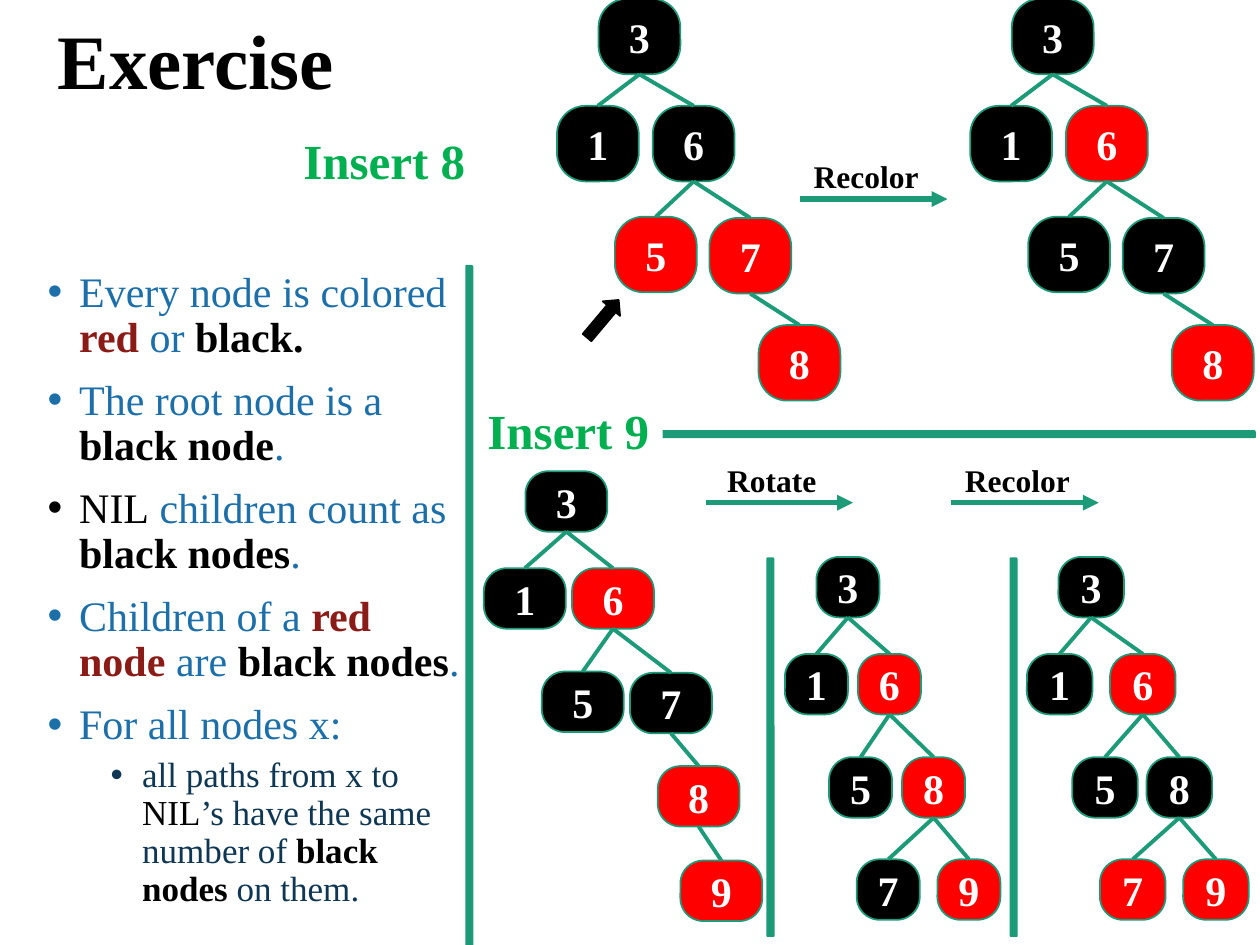
import pptx
import pptx.util
from pptx.dml.color import RGBColor
from pptx.enum.shapes import MSO_CONNECTOR, MSO_SHAPE
from pptx.enum.text import MSO_ANCHOR, PP_ALIGN
from pptx.oxml.ns import qn
from lxml import etree

COLORS = {"black": "000000", "red": "FF0000", "white": "FFFFFF", "teal": "1D9A78",
          "green": "00B050", "blue": "1D6FA9", "navy": "0F3754", "maroon": "8B1B17"}
FONT = "Times New Roman"

# Slide grid: 100 columns by 75 rows
COLUMNS, ROWS = 100, 75
WIDTH, HEIGHT = pptx.util.Inches(10), pptx.util.Inches(7.5)

# Rules: level, then (text, color, bold) spans
RULES = [
    (0, [("Every node is colored ", "blue", False), ("red", "maroon", True),
         (" or ", "blue", False), ("black.", "black", True)]),
    (0, [("The root node is a ", "blue", False), ("black node", "black", True),
         (".", "blue", False)]),
    (0, [("NIL", "black", False), (" children count as ", "blue", False),
         ("black nodes", "black", True), (".", "blue", False)]),
    (0, [("Children of a ", "blue", False), ("red node ", "maroon", True),
         ("are ", "blue", False), ("black nodes", "black", True), (".", "blue", False)]),
    (0, [("For all nodes x:", "blue", False)]),
    (1, [("all paths from x to ", "navy", False), ("NIL", "black", False),
         ("’s have the same number of ", "navy", False),
         ("black nodes ", "black", True), ("on them.", "navy", False)]),
]
LEVELS = [(24, 0.25, 10), (20, 0.75, 5)]  # size, indent in inches, space before

# Headings: text, box, size, color
HEADINGS = [
    ("Exercise", (3.6, 1.2, 24.5, 7.8), 44, "black"),
    ("Insert 8", (23.1, 10.8, 16, 4.3), 28, "green"),
]
INSERT_9 = ("Insert 9", (37.7, 31.6, 14.9, 5.6), 28, "green")

# Divider bars: left, top, width, height
DIVIDERS = [(37, 21.1, 0.5, 53.9), (60.9, 44.3, 0.5, 30),
            (80.2, 44.3, 0.5, 30), (39.9, 34.2, 59.7, 0.5)]

# Step arrows: label, left, top of label
STEPS = [("Recolor", 63.4, 12), ("Rotate", 55.9, 36.1), ("Recolor", 75.4, 36.1)]

# Tree forms: key -> (parent, column offset, row offset)
INSERT_8_FORM = {3: (None, 3.3, 0), 1: (3, 0, 8.5), 6: (3, 7.6, 8.5),
                 5: (6, 4.6, 17.3), 7: (6, 12.1, 17.4), 8: (7, 16, 25.9)}
INSERT_9_FORM = {3: (None, 3.3, 0), 1: (3, 0, 7.7), 6: (3, 7, 7.7), 5: (6, 4.6, 15.9),
                 7: (6, 11.6, 16), 8: (7, 13.8, 23.4), 9: (8, 15.6, 30.9)}
ROTATED_FORM = {3: (None, 2.5, 0), 1: (3, 0, 7.7), 6: (3, 5.8, 7.7), 5: (6, 3.5, 15.9),
                8: (6, 9.3, 15.9), 7: (8, 5.7, 24), 9: (8, 12.1, 24)}
RECOLORED_FORM = {3: (None, 2.5, 0), 1: (3, 0, 7.7), 6: (3, 6.6, 7.7), 5: (6, 3.6, 15.9),
                  8: (6, 9.5, 15.9), 7: (8, 5.8, 24), 9: (8, 12.4, 24)}

# Trees: form, left, top, node width, node height, red keys
TREES = [
    (INSERT_8_FORM, 44.2, -0.1, 6.5, 6, {5, 7, 8}),
    (INSERT_8_FORM, 77, -0.1, 6.5, 6, {6, 8}),
    (INSERT_9_FORM, 38.4, 37.4, 6.5, 4.8, {6, 8, 9}),
    (ROTATED_FORM, 62.3, 44.2, 5, 4.8, {6, 8, 9}),
    (RECOLORED_FORM, 81.5, 44.2, 5.2, 4.8, {6, 7, 9}),
]


def place(left, top, width, height):
    return (round(WIDTH * left / COLUMNS), round(HEIGHT * top / ROWS),
            round(WIDTH * width / COLUMNS), round(HEIGHT * height / ROWS))


def rgb(name):
    return RGBColor.from_string(COLORS[name])


def style_font(font, size, color, bold=True):
    font.name, font.size, font.bold = FONT, pptx.util.Pt(size), bold
    font.color.rgb = rgb(color)


def add_shape(shapes, kind, area, fill, line="teal"):
    shape = shapes.add_shape(kind, *place(*area))
    shape.shadow.inherit = False
    shape.fill.solid()
    shape.fill.fore_color.rgb = rgb(fill)
    if line:
        shape.line.color.rgb = rgb(line)
        shape.line.width = pptx.util.Pt(1)
    else:
        shape.line.fill.background()
    return shape


def write(shape, text, size, color, align=PP_ALIGN.LEFT, spacing=None):
    frame = shape.text_frame
    frame.word_wrap = True
    frame.text = text
    para = frame.paragraphs[0]
    para.alignment, para.line_spacing = align, spacing
    style_font(para.runs[0].font, size, color)
    return frame


def add_line(shapes, start, end, width):
    line = shapes.add_connector(MSO_CONNECTOR.STRAIGHT, *start, *end)
    line.line.color.rgb = rgb("teal")
    line.line.width = pptx.util.Pt(width)
    etree.SubElement(line._element.spPr, qn("a:effectLst"))
    return line


def add_heading(box, text, size, color):
    frame = write(box, text, size, color, spacing=0.9)
    frame.vertical_anchor = MSO_ANCHOR.MIDDLE


def add_rules(shapes):
    frame = shapes.add_textbox(*place(2.8, 21, 35.2, 53)).text_frame
    frame.word_wrap = True
    for index, (level, spans) in enumerate(RULES):
        para = frame.add_paragraph() if index else frame.paragraphs[0]
        size, indent, before = LEVELS[level]
        properties = para._p.get_or_add_pPr()
        properties.set("marL", str(pptx.util.Inches(indent)))
        properties.set("indent", str(pptx.util.Inches(-0.25)))
        etree.SubElement(properties, qn("a:buFont"), typeface="Arial")
        etree.SubElement(properties, qn("a:buChar"), char="•")
        para.level, para.line_spacing = level, 0.9
        para.space_before = pptx.util.Pt(before if index else 0)
        for text, color, bold in spans:
            span = para.add_run()
            span.text = text
            style_font(span.font, size, color, bold)


def add_tree(page, form, left, top, width, height, red_keys):
    shapes = page.shapes.add_group_shape().shapes
    nodes = {}
    for key, (parent, column, row) in form.items():
        fill = "red" if key in red_keys else "black"
        node = add_shape(shapes, MSO_SHAPE.ROUNDED_RECTANGLE,
                         (left + column, top + row, width, height), fill)
        node.adjustments[0] = 0.378
        frame = write(node, str(key), 24, "white", PP_ALIGN.CENTER)
        frame.vertical_anchor = MSO_ANCHOR.MIDDLE
        frame.margin_left = frame.margin_right = frame.margin_top = frame.margin_bottom = 0
        nodes[key] = node
        if parent:
            above = nodes[parent]
            edge = add_line(shapes, (above.left, above.top), (node.left, node.top), 2.25)
            edge.begin_connect(above, 2)
            edge.end_connect(node, 0)


def add_step(page, label, left, top):
    shapes = page.shapes.add_group_shape().shapes
    x, y, length, _ = place(left + 0.1, top + 3.8, 11.7, 0)
    arrow = add_line(shapes, (x, y), (x + length, y), 3)
    etree.SubElement(arrow.line._get_or_add_ln(), qn("a:tailEnd"), type="triangle")
    box = shapes.add_textbox(*place(left, top, 10.7, 4))
    write(box, label, 18, "black", PP_ALIGN.CENTER)


def main():
    deck = pptx.Presentation()
    deck.slide_width, deck.slide_height = WIDTH, HEIGHT
    page = deck.slides.add_slide(deck.slide_layouts[6])

    # Headings and rules
    for text, area, size, color in HEADINGS:
        add_heading(page.shapes.add_textbox(*place(*area)), text, size, color)
    add_rules(page.shapes)

    # Dividers, with the second heading over the horizontal one
    for area in DIVIDERS:
        add_shape(page.shapes, MSO_SHAPE.ROUND_1_RECTANGLE, area, "teal")
    text, area, size, color = INSERT_9
    add_heading(add_shape(page.shapes, MSO_SHAPE.RECTANGLE, area, "white", None),
                text, size, color)

    # Trees, steps and the pointer to node 5
    for tree in TREES:
        add_tree(page, *tree)
    for step in STEPS:
        add_step(page, *step)
    pointer = add_shape(page.shapes, MSO_SHAPE.RIGHT_ARROW,
                        (45.9, 24.4, 3.9, 1.8), "black", "black")
    pointer.rotation = 310.1

    deck.save("out.pptx")


if __name__ == "__main__":
    main()
